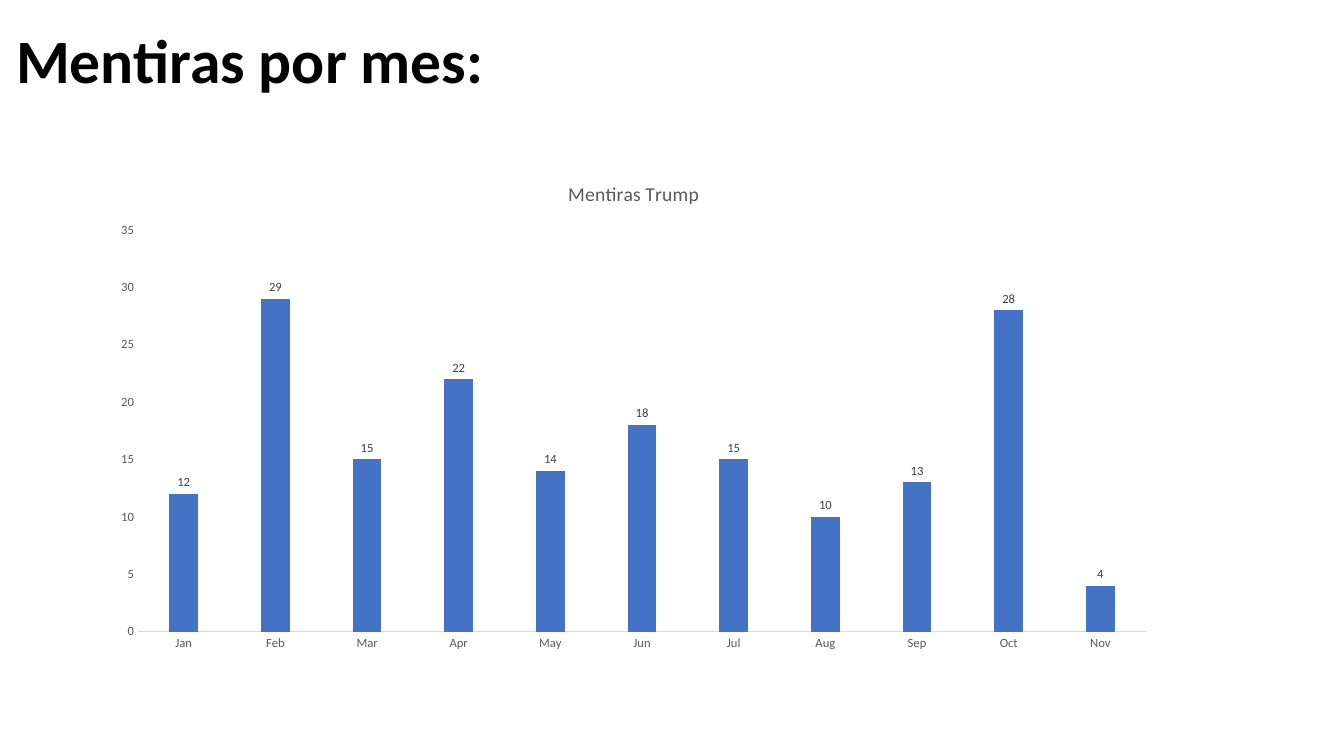
import pptx
import pptx.util
import pptx.chart.data
import pptx.dml.color
import pptx.enum.chart
import pptx.enum.text
from pptx.util import Inches

BLACK = pptx.dml.color.RGBColor(0x00, 0x00, 0x00)
DARK_GREY = pptx.dml.color.RGBColor(0x40, 0x40, 0x40)
GREY = pptx.dml.color.RGBColor(0x59, 0x59, 0x59)
LIGHT_GREY = pptx.dml.color.RGBColor(0xD9, 0xD9, 0xD9)
BLUE = pptx.dml.color.RGBColor(0x44, 0x72, 0xC4)


def format_font(font, size, color, bold=False):
    font.name = "Calibri"
    font.size = pptx.util.Pt(size)
    font.color.rgb = color
    font.bold = bold


def write_text(frame, text, **style):
    paragraph = frame.paragraphs[0]
    run = paragraph.add_run()
    run.text = text
    format_font(run.font, **style)
    return paragraph


presentation = pptx.Presentation()
presentation.slide_width = Inches(13.33)
presentation.slide_height = Inches(7.5)
slide = presentation.slides.add_slide(presentation.slide_layouts[5])

heading = slide.shapes.title
heading.left, heading.top = Inches(0.06), Inches(0.17)
heading.width, heading.height = Inches(4.89), Inches(0.84)
heading.text_frame.word_wrap = False
heading.text_frame.auto_size = pptx.enum.text.MSO_AUTO_SIZE.SHAPE_TO_FIT_TEXT
heading.text_frame.vertical_anchor = pptx.enum.text.MSO_ANCHOR.TOP
heading_line = write_text(heading.text_frame, "Mentiras por mes:", size=44, color=BLACK, bold=True)
heading_line.alignment = pptx.enum.text.PP_ALIGN.LEFT

lies_by_month = {
    "Jan": 12, "Feb": 29, "Mar": 15, "Apr": 22, "May": 14, "Jun": 18,
    "Jul": 15, "Aug": 10, "Sep": 13, "Oct": 28, "Nov": 4,
}
lies_data = pptx.chart.data.CategoryChartData(number_format="General")
lies_data.categories = list(lies_by_month)
lies_data.add_series("Series 1", list(lies_by_month.values()))
lies_chart = slide.shapes.add_chart(
    pptx.enum.chart.XL_CHART_TYPE.COLUMN_CLUSTERED,
    Inches(0.99), Inches(1.6), Inches(10.59), Inches(4.95), lies_data,
).chart
format_font(lies_chart.font, size=10, color=BLACK)
lies_chart.has_legend = False
lies_chart.has_title = True
lies_chart.chart_title.include_in_layout = False
write_text(lies_chart.chart_title.text_frame, "Mentiras Trump", size=14, color=GREY)

months = lies_chart.category_axis
counts = lies_chart.value_axis
for axis in (months, counts):
    axis.has_major_gridlines = False
    axis.major_tick_mark = pptx.enum.chart.XL_TICK_MARK.NONE
    axis.minor_tick_mark = pptx.enum.chart.XL_TICK_MARK.NONE
    format_font(axis.tick_labels.font, size=9, color=GREY)
months.format.line.color.rgb = LIGHT_GREY
months.format.line.width = pptx.util.Pt(0.75)
counts.format.line.fill.background()
counts.minimum_scale = 0
counts.maximum_scale = 35
counts.major_unit = 5

columns = lies_chart.plots[0]
columns.gap_width = 219
columns.overlap = -27
columns.vary_by_categories = False
lies = columns.series[0]
lies.format.fill.solid()
lies.format.fill.fore_color.rgb = BLUE
lies.data_labels.show_value = True
lies.data_labels.position = pptx.enum.chart.XL_LABEL_POSITION.OUTSIDE_END
format_font(lies.data_labels.font, size=9, color=DARK_GREY)

presentation.save("out.pptx")
